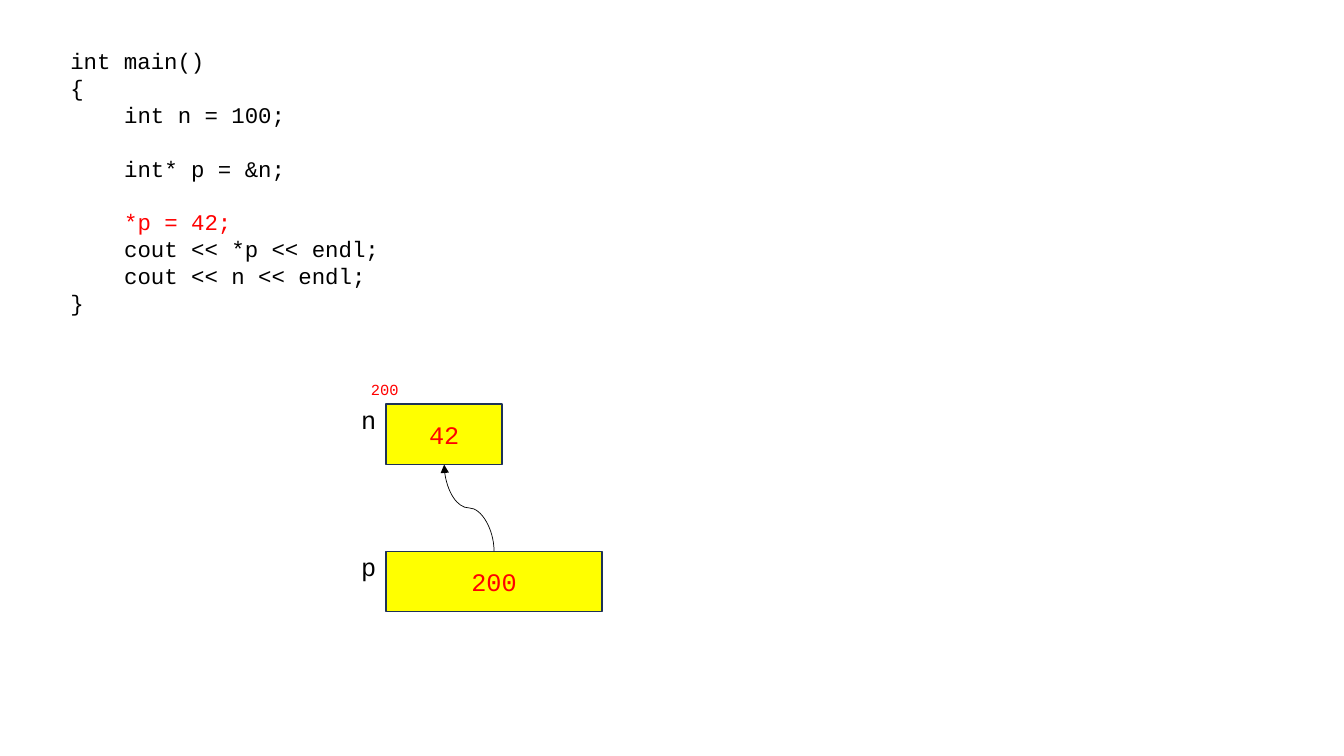
from pptx import Presentation
from pptx.dml.color import RGBColor
from pptx.enum.shapes import MSO_CONNECTOR as CONN, MSO_SHAPE as SHAPE
from pptx.enum.text import MSO_ANCHOR as ANCHOR, PP_ALIGN as ALIGN
from pptx.oxml.ns import qn
from pptx.util import Inches, Pt
from lxml.etree import SubElement

BLACK = RGBColor(0x00, 0x00, 0x00)
RED = RGBColor(0xFF, 0x00, 0x00)
YELLOW = RGBColor(0xFF, 0xFF, 0x00)
NAVY = RGBColor(0x1E, 0x32, 0x56)
FONT = "Courier New"
CODE_SIZE = 16
CODE_PITCH = Pt(19.2)
CODE_INDENT = Pt(4 * 0.6 * CODE_SIZE)

# Each line holds its text, indent level, blank lines before it and colour.
CODE = [
    ("int main()", 0, 0, BLACK),
    ("{", 0, 0, BLACK),
    ("int n = 100;", 1, 0, BLACK),
    ("int* p = &n;", 1, 1, BLACK),
    ("*p = 42;", 1, 1, RED),
    ("cout << *p << endl;", 1, 0, BLACK),
    ("cout << n << endl;", 1, 0, BLACK),
    ("}", 0, 0, BLACK),
]


def add_text(p, text, size, color):
    """Add one formatted run to a paragraph."""
    r = p.add_run()
    r.text = text
    for name, value in {"name": FONT, "size": Pt(size)}.items():
        setattr(r.font, name, value)
    r.font.color.rgb = color


def add_label(s, box, text, size, color, align=ALIGN.LEFT):
    """Add a one-line text box."""
    tf = s.shapes.add_textbox(*map(Inches, box)).text_frame
    tf.word_wrap = True
    p = tf.paragraphs[0]
    p.alignment = align
    add_text(p, text, size, color)


def add_code(s, box):
    """Add the code listing, one paragraph per line of code."""
    tf = s.shapes.add_textbox(*map(Inches, box)).text_frame
    tf.word_wrap = True
    for i, (text, level, blanks, color) in enumerate(CODE):
        p = tf.add_paragraph() if i else tf.paragraphs[0]
        p.line_spacing = CODE_PITCH
        p.space_before = blanks * CODE_PITCH
        p._p.get_or_add_pPr().set("marL", str(int(level * CODE_INDENT)))
        add_text(p, text, CODE_SIZE, color)


def add_variable(s, box, name, value):
    """Add a memory cell with its value and the variable name at its left."""
    x, y, w, h = box
    sp = s.shapes.add_shape(SHAPE.RECTANGLE, *map(Inches, box))
    sp.shadow.inherit = False
    sp.fill.solid()
    sp.fill.fore_color.rgb = YELLOW
    sp.line.color.rgb = NAVY
    sp.line.width = Pt(1)
    tf = sp.text_frame
    tf.vertical_anchor = ANCHOR.MIDDLE
    p = tf.paragraphs[0]
    p.alignment = ALIGN.CENTER
    add_text(p, value, 18, RED)
    add_label(s, (x - 0.5, y - 0.05, 0.5, 0.4), name, 18, BLACK, ALIGN.RIGHT)


def add_pointer(s, source, target):
    """Add a curved arrow from the top of source to the bottom of target."""
    x1, y1 = source[0] + source[2] / 2, source[1]
    x2, y2 = target[0] + target[2] / 2, target[1] + target[3]
    cx, cy = (x1 + x2) / 2, (y1 + y2) / 2
    dx, dy = (y1 - y2) / 2, (x1 - x2) / 2
    ends = (cx - dx, cy + dy, cx + dx, cy - dy)
    c = s.shapes.add_connector(CONN.CURVE, *map(Inches, ends))
    c.line.color.rgb = BLACK
    c.line.width = Pt(0.5)
    spPr = c._element.spPr
    spPr.find(qn("a:xfrm")).set("rot", str(270 * 60000))
    SubElement(spPr.find(qn("a:ln")), qn("a:tailEnd"), type="triangle")
    SubElement(spPr, qn("a:effectLst"))


def add_memory(s, x, y):
    """Add the variables n and p, the address of n and the pointer."""
    n_box = (x, y, 1.15, 0.6)
    p_box = (x, y + 1.46, 2.14, 0.6)
    add_variable(s, n_box, "n", "42")
    add_label(s, (x - 0.25, y - 0.29, 0.74, 0.29), "200", 11, RED)
    add_variable(s, p_box, "p", "200")
    add_pointer(s, p_box, n_box)


def main():
    """Build the slide and save it."""
    prs = Presentation()
    prs.slide_width, prs.slide_height = Inches(13.33), Inches(7.5)
    s = prs.slides.add_slide(prs.slide_layouts[6])
    add_code(s, (0.6, 0.42, 6.67, 2.86))
    add_memory(s, 3.83, 4.01)
    prs.save("out.pptx")


main()
